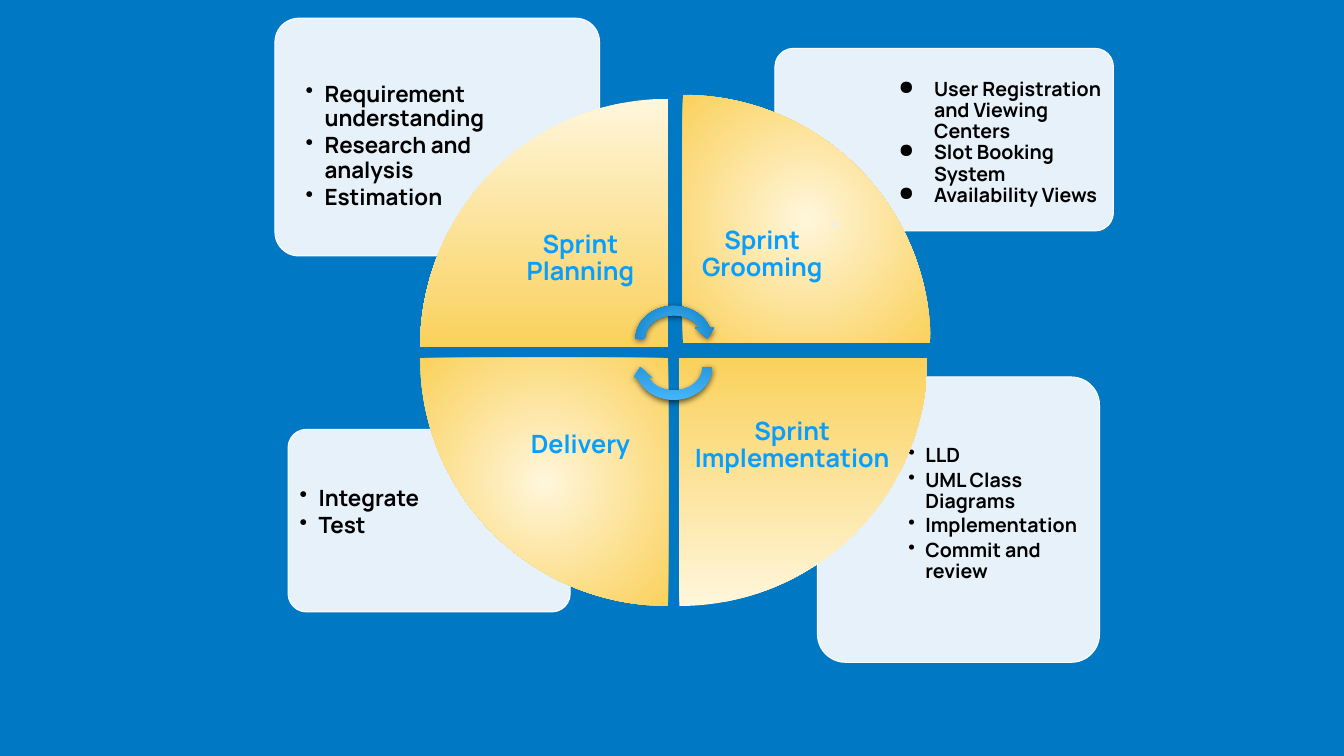
from lxml.etree import SubElement as Sub
from pptx import Presentation
from pptx.dml.color import RGBColor
from pptx.enum.shapes import MSO_SHAPE as Kind
from pptx.enum.text import MSO_ANCHOR as Anchor, PP_ALIGN as Align
from pptx.oxml.ns import qn
from pptx.util import Cm, Pt

FONT = "Manrope"
GOLD = ("FFF6DB", "FAD15C")
AZURE = ("49B9FF", "0778BE")
SIDE = 6.25
LABEL = 4.42

CARDS = [
    dict(box=(20.6, 9.5, 7.11, 7.19), area=(2.06, 1.55, 4.98, 5.08), size=14, hang=0.43,
         items=["LLD", "UML Class Diagrams", "Implementation", "Commit and review"]),
    dict(box=(7.26, 10.82, 7.11, 4.6), area=(0.11, 1.27, 4.78, 3.25), size=16,
         items=["Integrate", "Test"]),
    dict(box=(19.53, 1.22, 8.53, 4.6), area=(2.31, 0.35, 6.58, 3.25), size=14,
         items=["User Registration and Viewing Centers", "Slot Booking System",
                "Availability Views"],
         mark="●", left=1.27, hang=0.89, gap=0, inset=0.43, level=0),
    dict(box=(6.93, 0.46, 8.18, 5.99), area=(0.59, 1.45, 5.77, 3.25), size=16,
         items=["Requirement understanding", "Research and analysis", "Estimation"]),
]

WEDGES = [
    dict(at=(10.59, 2.49), text="Sprint Planning", shift=(1.83, 1.83)),
    dict(at=(17.2, 2.39), text="Sprint Grooming", shift=(0, 1.83), pads=(0.23, 0.63)),
    dict(at=(17.12, 9.02), text="Sprint Implementation", shift=(-0.28, 0), wide=SIDE),
    dict(at=(10.59, 9.02), text="Delivery", shift=(1.83, 0)),
]


def color(code):
    return RGBColor.from_string(code)


def add_form(slide, kind, box):
    form = slide.shapes.add_shape(kind, *map(Cm, box))
    form.shadow.inherit = False
    form.line.fill.background()
    return form


def fill_flat(form, code):
    form.fill.solid()
    form.fill.fore_color.rgb = color(code)


def fill_fade(form, codes, radial):
    form.fill.gradient()
    for stop, code, place in zip(form.fill.gradient_stops, codes, (0, 1)):
        stop.color.rgb = color(code)
        stop.position = place
    if not radial:
        form.fill.gradient_angle = 270
        return
    grad = form.element.spPr.find(qn("a:gradFill"))
    grad.remove(grad.find(qn("a:lin")))
    ring = Sub(grad, qn("a:path"), path="circle")
    Sub(ring, qn("a:fillToRect"), l="50000", t="50000", r="50000", b="50000")


def add_box(slide, box, pads, inset):
    frame = slide.shapes.add_textbox(*map(Cm, box)).text_frame
    frame.word_wrap = True
    frame.margin_left, frame.margin_right = map(Cm, pads)
    frame.margin_top = frame.margin_bottom = Cm(inset)
    return frame


def add_run(para, text, size, code):
    para.line_spacing = 0.9
    run = para.add_run()
    run.text = text
    run.font.name = FONT
    run.font.size = Pt(size)
    run.font.bold = True
    run.font.color.rgb = color(code)


def add_bullet(para, mark, left, hang):
    props = para._p.get_or_add_pPr()
    props.set("marL", str(Cm(left)))
    props.set("indent", str(-Cm(hang)))
    tint = Sub(props, qn("a:buClr"))
    Sub(tint, qn("a:srgbClr"), val="000000")
    Sub(props, qn("a:buChar"), char=mark)


def add_card(slide, box):
    card = add_form(slide, Kind.ROUNDED_RECTANGLE, box)
    card.adjustments[0] = 0.1
    fill_flat(card, "FFFFFF")
    tint = card.element.spPr.find(qn("a:solidFill")).find(qn("a:srgbClr"))
    Sub(tint, qn("a:alpha"), val="90000")
    card.line.color.rgb = color("FFFFFF")
    card.line.width = Pt(0.75)


def add_list(slide, box, area, size, items, mark="•", left=0.48, hang=0.48,
             gap=2.4, inset=0.18, level=1):
    x, y, wide, high = area
    frame = add_box(slide, (box[0] + x, box[1] + y, wide, high), (inset, inset), inset)
    for num, item in enumerate(items):
        para = frame.add_paragraph() if num else frame.paragraphs[0]
        para.level = level
        add_bullet(para, mark, left, hang)
        if num and gap:
            para.space_before = Pt(gap)
        add_run(para, item, size, "000000")


def add_wedge(slide, turn, at, text, shift, wide=LABEL, pads=(0.43, 0.43)):
    wedge = add_form(slide, Kind.PIE_WEDGE, (*at, SIDE, SIDE))
    wedge.rotation = 90 * turn
    fill_fade(wedge, GOLD, turn % 2 == 1)
    spot = (at[0] + shift[0], at[1] + shift[1], wide, LABEL)
    frame = add_box(slide, spot, pads, 0.43)
    frame.vertical_anchor = Anchor.MIDDLE
    para = frame.paragraphs[0]
    para.alignment = Align.CENTER
    add_run(para, text, 18, "079FFF")


def add_arrow(slide, box, turn, radial):
    arrow = add_form(slide, Kind.CIRCULAR_ARROW, box)
    arrow.rotation = turn
    fill_fade(arrow, AZURE, radial)
    effects = arrow.element.spPr.find(qn("a:effectLst"))
    shade = Sub(effects, qn("a:outerShdw"), blurRad=str(Pt(4.5)), dist=str(Pt(1.5)),
                dir="5400000", algn="ctr", rotWithShape="0")
    tint = Sub(shade, qn("a:srgbClr"), val="000000")
    Sub(tint, qn("a:alpha"), val="63000")


def add_hub(slide, x, y):
    add_arrow(slide, (x, y, 2.16, 1.88), 0, True)
    add_arrow(slide, (x, y + 0.72, 2.16, 1.88), 180, False)


def main():
    deck = Presentation()
    deck.slide_width, deck.slide_height = Cm(33.87), Cm(19.05)
    slide = deck.slides.add_slide(deck.slide_layouts[6])
    back = slide.background.fill
    back.solid()
    back.fore_color.rgb = color("0078C4")
    for card in CARDS:
        add_card(slide, card["box"])
        add_list(slide, **card)
    for turn, wedge in enumerate(WEDGES):
        add_wedge(slide, turn, **wedge)
    add_hub(slide, 15.9, 7.59)
    dot = add_form(slide, Kind.OVAL, (20.96, 5.59, 0.13, 0.13))
    fill_flat(dot, "EEEEEE")
    deck.save("out.pptx")


if __name__ == "__main__":
    main()
